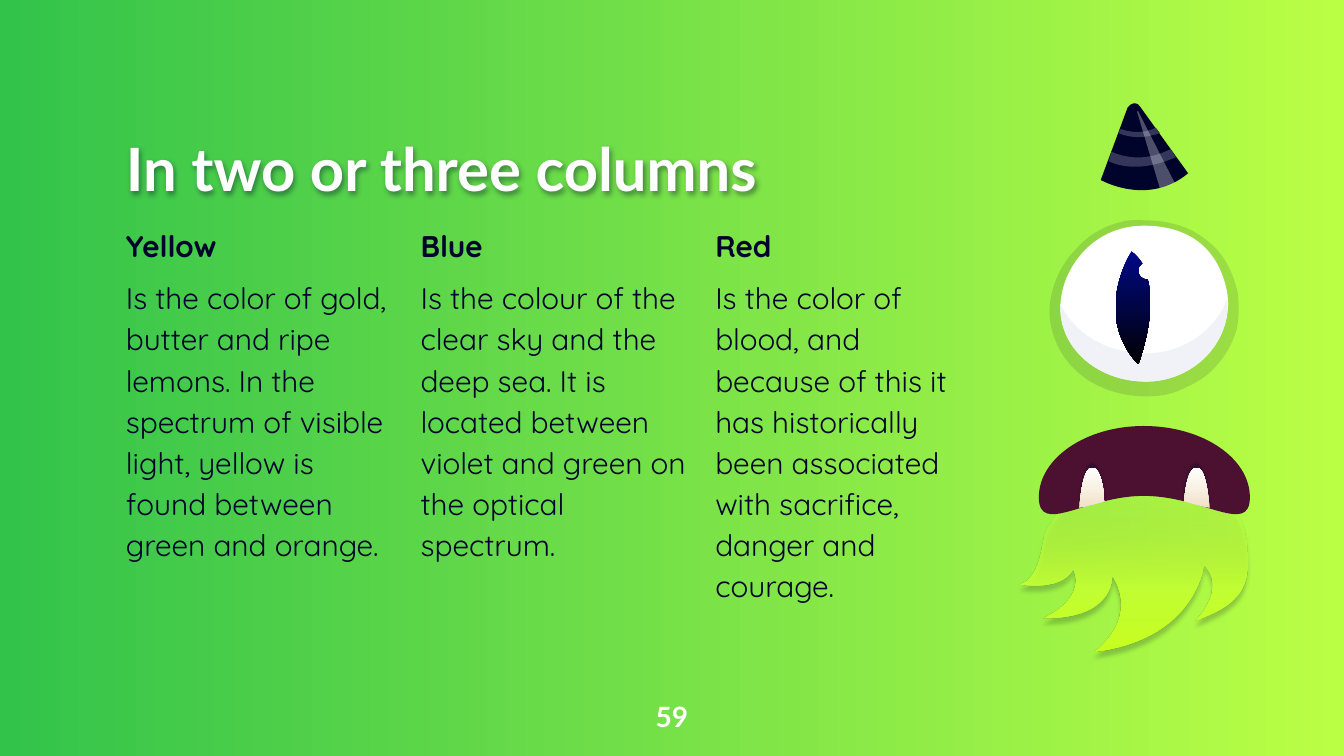
from dataclasses import dataclass, replace
from typing import Optional

from lxml import etree
from pptx import Presentation
from pptx import util as u
from pptx.dml.color import RGBColor
from pptx.enum import text
from pptx.oxml.ns import qn

GREEN = RGBColor(0x32, 0xC3, 0x4B)
LIME = RGBColor(0xBB, 0xFF, 0x45)
BRIGHT_LIME = RGBColor(0xC2, 0xFF, 0x33)
ACID = RGBColor(0xC9, 0xFF, 0x20)
WHITE = RGBColor(0xFF, 0xFF, 0xFF)
NAVY = RGBColor(0x00, 0x03, 0x2A)
HALO = RGBColor(0x09, 0x05, 0x2E)
PALE = RGBColor(0xF1, 0xF2, 0xF7)
BLUE = RGBColor(0x00, 0x09, 0x85)
BLACK = RGBColor(0x01, 0x01, 0x01)
SLATE = RGBColor(0x34, 0x36, 0x5A)
PLUM = RGBColor(0x4C, 0x11, 0x30)
BEIGE = RGBColor(0xF0, 0xE0, 0xC7)
CREAM = RGBColor(0xF8, 0xF1, 0xE4)

HUNDREDTH_INCH = 0.0254


@dataclass(frozen=True)
class Stop:
    color: RGBColor
    position: int = 0
    opacity: int = 100


@dataclass(frozen=True)
class Shadow:
    opacity: int
    blur: float
    distance: float
    angle: int


@dataclass(frozen=True)
class Part:
    start: tuple
    segments: tuple
    stops: tuple
    angle: int = 90
    shadow: Optional[Shadow] = None


@dataclass(frozen=True)
class Column:
    heading: str
    body: str


@dataclass(frozen=True)
class Style:
    font: str
    size: int
    color: RGBColor
    bold: bool = True


TITLE = Style("Lato", 32, WHITE)
NUMBER = Style("Lato", 15, WHITE)
HEADING = Style("Quicksand", 16, NAVY)
BODY = replace(HEADING, bold=False)

COLUMNS = (
    Column("Yellow", "Is the color of gold, butter and ripe lemons. In the spectrum of "
           "visible light, yellow is found between green and orange."),
    Column("Blue", "Is the colour of the clear sky and the deep sea. It is located "
           "between violet and green on the optical spectrum."),
    Column("Red", "Is the color of blood, and because of this it has historically been "
           "associated with sacrifice, danger and courage."),
)

BEARD = Part((778, 397), (
    (778, 397, 795, 352, 855, 353), (921, 355, 927, 392, 928, 409),
    (930, 433, 927, 449, 889, 462), (889, 462, 913, 439, 896, 421),
    (896, 421, 890, 476, 814, 485), (814, 485, 848, 462, 828, 429),
    (828, 429, 830, 461, 776, 460), (776, 460, 808, 447, 799, 424),
    (794, 433, 781, 438, 759, 435), (775, 429, 775, 406, 778, 397)),
    (Stop(LIME, 0, 0), Stop(BRIGHT_LIME, 65), Stop(ACID, 100)),
    shadow=Shadow(20, 2.2, 3, 90))

EYE = (
    Part((853, 295), (
        (834, 295, 816, 289, 803, 278), (790, 267, 782, 251, 781, 235),
        (780, 217, 788, 198, 801, 185), (807, 178, 814, 173, 823, 169),
        (832, 165, 841, 163, 851, 164), (870, 164, 886, 169, 898, 179),
        (910, 188, 917, 201, 921, 218), (922, 228, 922, 237, 920, 246),
        (917, 255, 913, 263, 907, 270), (901, 278, 892, 284, 883, 288),
        (874, 293, 864, 295, 853, 295)), (Stop(HALO, opacity=12),)),
    Part((851, 168), (
        (812, 168, 788, 202, 789, 231), (790, 260, 817, 284, 853, 284),
        (889, 284, 919, 252, 913, 217), (907, 187, 887, 168, 851, 168)),
        (Stop(WHITE),)),
    Part((853, 263), (
        (823, 263, 799, 248, 789, 226), (789, 227, 789, 229, 789, 231),
        (790, 260, 817, 284, 853, 284), (887, 284, 916, 256, 913, 223),
        (904, 246, 880, 263, 853, 263)), (Stop(PALE),)),
    Part((853, 208), (
        (850, 208, 847, 205, 847, 202), (847, 199, 848, 197, 850, 196),
        (848, 193, 845, 189, 842, 187), (842, 187, 812, 234, 847, 271),
        (847, 271, 861, 235, 854, 208), (854, 208, 853, 208, 853, 208)),
        (Stop(BLUE), Stop(BLACK, 100))),
)

HORN = (
    Part((819, 134), (
        (819, 134, 854, 154, 884, 129), (848, 79),
        (847, 77, 844, 76, 841, 78), (840, 79, 840, 79, 839, 80)),
        (Stop(NAVY),)),
    Part((827, 113), (
        (825, 120), (833, 124, 850, 128, 875, 117),
        (871, 111), (861, 116, 846, 121, 827, 113)), (Stop(SLATE),)),
    Part((834, 96), (
        (832, 99), (839, 102, 849, 104, 863, 99),
        (860, 95), (854, 98, 845, 100, 834, 96)), (Stop(SLATE),)),
    Part((874, 136), (
        (847, 83), (847, 82, 846, 83, 846, 83),
        (863, 140), (867, 139, 871, 138, 874, 136)), (Stop(WHITE, opacity=30),)),
)

LIP = Part((773, 370), (
    (773, 341, 808, 317, 851, 317), (895, 317, 930, 341, 930, 370),
    (930, 399, 895, 369, 851, 369), (808, 369, 773, 399, 773, 370)),
    (Stop(PLUM),))
TOOTH = Part((803, 378), (
    (809, 377, 815, 375, 822, 373), (821, 363, 819, 349, 813, 348),
    (806, 347, 804, 369, 803, 378)),
    (Stop(BEIGE), Stop(CREAM, 50), Stop(WHITE, 100)), 270, Shadow(30, 1.1, 2.2, 270))


def mirror(part: Part, axis_sum: int) -> Part:
    def flip(values: tuple) -> tuple:
        return tuple(axis_sum - v if i % 2 == 0 else v for i, v in enumerate(values))
    return replace(part, start=flip(part.start),
                   segments=tuple(flip(s) for s in part.segments))


def to_emu(values: tuple) -> tuple:
    return tuple(u.Cm(v * HUNDREDTH_INCH) for v in values)


def samples(part: Part) -> list:
    points = [part.start]
    for segment in part.segments:
        anchors = (points[-1], segment[:2], segment[-4:-2] or segment, segment[-2:])
        for t in (step / 16 for step in range(1, 17)):
            weights = ((1 - t) ** 3, 3 * t * (1 - t) ** 2, 3 * t * t * (1 - t), t ** 3)
            points.append(tuple(sum(w * a[i] for w, a in zip(weights, anchors))
                                for i in (0, 1)))
    return [to_emu(point) for point in points]


def add_step(path, tag: str, values: tuple, left: int, top: int) -> None:
    step = etree.SubElement(path, qn(tag))
    emus = to_emu(values)
    for x, y in zip(emus[::2], emus[1::2]):
        etree.SubElement(step, qn("a:pt"), x=str(x - left), y=str(y - top))


def trace_curves(shape, part: Part) -> None:
    path = shape._element.find(".//" + qn("a:path"))
    for straight in list(path):
        path.remove(straight)
    add_step(path, "a:moveTo", part.start, shape.left, shape.top)
    for segment in part.segments:
        tag = "a:lnTo" if len(segment) == 2 else "a:cubicBezTo"
        add_step(path, tag, segment, shape.left, shape.top)
    etree.SubElement(path, qn("a:close"))


def add_color(parent, color: RGBColor, opacity: int) -> None:
    tint = etree.SubElement(parent, qn("a:srgbClr"), val=str(color))
    if opacity < 100:
        etree.SubElement(tint, qn("a:alpha"), val=str(opacity * 1000))


def add_shadow(shape, shadow: Shadow) -> None:
    effects = shape._element.spPr.find(qn("a:effectLst"))
    cast = etree.SubElement(effects, qn("a:outerShdw"), blurRad=str(u.Pt(shadow.blur)),
                            dist=str(u.Pt(shadow.distance)), dir=str(shadow.angle * 60000),
                            algn="bl", rotWithShape="0")
    add_color(cast, NAVY, shadow.opacity)


def paint(fill, holder, stops: tuple, angle: int) -> None:
    if len(stops) == 1:
        fill.solid()
        add_color(holder.find(qn("a:solidFill")), stops[0].color, stops[0].opacity)
        return
    fill.gradient()
    fill.gradient_angle = -angle % 360
    ramp = holder.find(".//" + qn("a:gsLst"))
    for preset in list(ramp):
        ramp.remove(preset)
    for stop in stops:
        mark = etree.SubElement(ramp, qn("a:gs"), pos=str(stop.position * 1000))
        add_color(mark, stop.color, stop.opacity)


def draw_part(shapes, part: Part) -> None:
    first, *rest = samples(part)
    builder = shapes.build_freeform(*first, scale=1.0)
    builder.add_line_segments(rest, close=True)
    shape = builder.convert_to_shape()
    trace_curves(shape, part)
    paint(shape.fill, shape._element.spPr, part.stops, part.angle)
    shape.line.fill.background()
    shape.shadow.inherit = False
    if part.shadow:
        add_shadow(shape, part.shadow)


def add_box(slide, left: float, top: float, width: float, height: float, anchor):
    box = slide.shapes.add_textbox(*map(u.Cm, (left, top, width, height)))
    frame = box.text_frame
    frame.margin_left = frame.margin_right = frame.margin_top = frame.margin_bottom = 0
    frame.word_wrap = True
    frame.vertical_anchor = anchor
    return box


def add_run(paragraph, words: str, style: Style) -> None:
    run = paragraph.add_run()
    run.text = words
    run.font.name = style.font
    run.font.size = u.Pt(style.size)
    run.font.bold = style.bold
    run.font.color.rgb = style.color


def draw_title(slide) -> None:
    box = add_box(slide, 2.38, 2.76, 16.18, 1.1, text.MSO_ANCHOR.BOTTOM)
    box.fill.background()
    box.shadow.inherit = False
    add_shadow(box, Shadow(40, 3, 1.5, 60))
    title = box.text_frame.paragraphs[0]
    title.line_spacing = 0.9
    add_run(title, "In two or three columns", TITLE)


def draw_column(slide, left: float, column: Column) -> None:
    frame = add_box(slide, left, 4.2, 5.05, 8.64, text.MSO_ANCHOR.TOP).text_frame
    heading, body = frame.paragraphs[0], frame.add_paragraph()
    heading.line_spacing = body.line_spacing = 1.15
    body.space_before = u.Pt(6)
    add_run(heading, column.heading, HEADING)
    add_run(body, column.body, BODY)


def main() -> None:
    deck = Presentation()
    deck.slide_width, deck.slide_height = u.Cm(25.4), u.Cm(14.29)
    slide = deck.slides.add_slide(deck.slide_layouts[6])
    paint(slide.background.fill, slide._element.cSld, (Stop(GREEN), Stop(LIME, 100)), 0)

    draw_part(slide.shapes, BEARD)
    draw_title(slide)
    for index, column in enumerate(COLUMNS):
        draw_column(slide, 2.38 + index * 5.57, column)
    number_box = add_box(slide, 11.94, 12.99, 1.52, 1.1, text.MSO_ANCHOR.MIDDLE)
    number = number_box.text_frame.paragraphs[0]
    number.alignment = text.PP_ALIGN.CENTER
    add_run(number, "59", NUMBER)

    for feature in (EYE, HORN, (LIP, TOOTH, mirror(TOOTH, 1703))):
        group = slide.shapes.add_group_shape()
        for part in feature:
            draw_part(group.shapes, part)
    deck.save("out.pptx")


if __name__ == "__main__":
    main()
